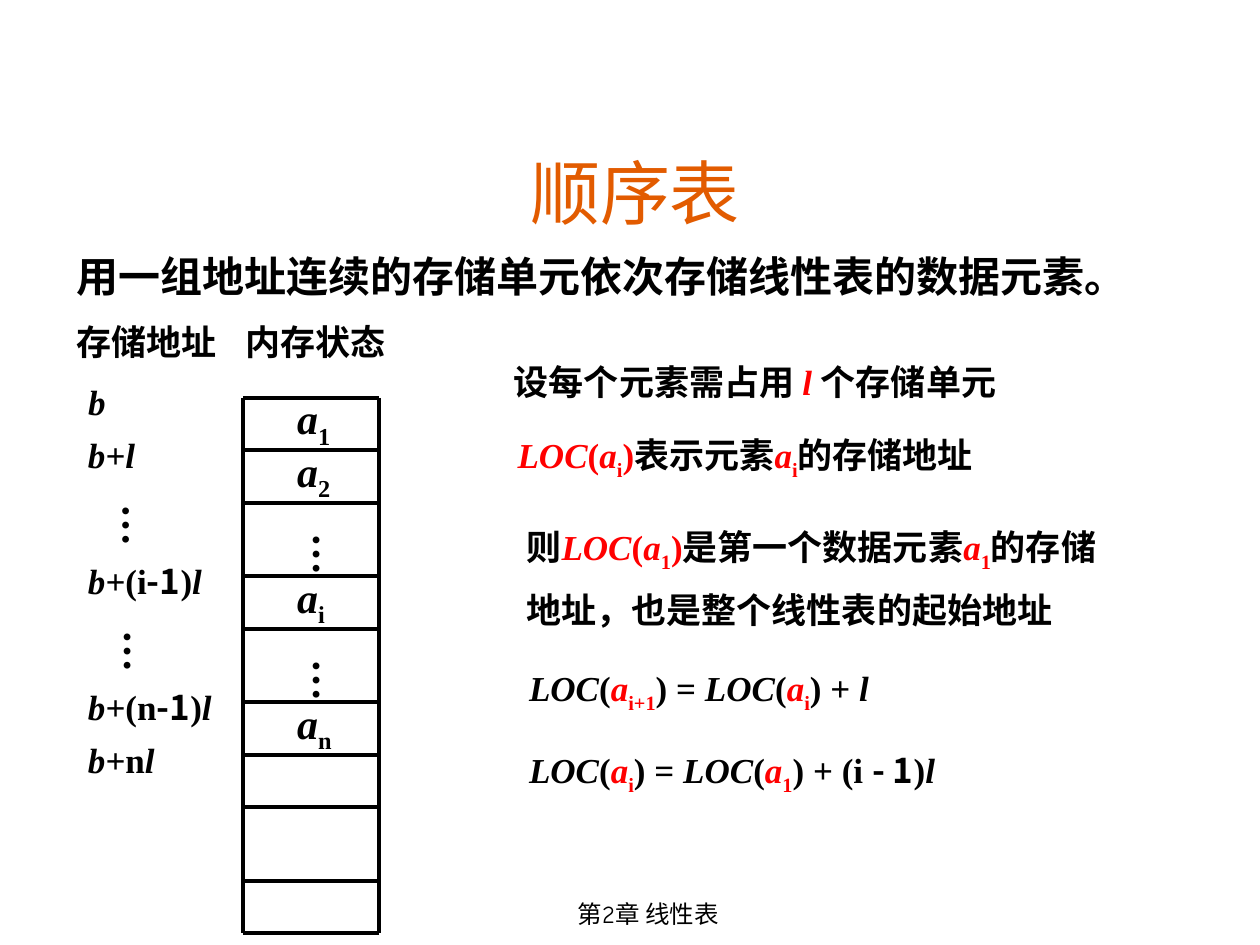
import itertools

import pptx
import pptx.dml.color
import pptx.enum.shapes
import pptx.enum.text
import pptx.oxml.ns
import pptx.util
from lxml import etree

RGBColor = pptx.dml.color.RGBColor
Align = pptx.enum.text.PP_ALIGN
Anchor = pptx.enum.text.MSO_ANCHOR

BLACK = RGBColor(0x00, 0x00, 0x00)
RED = RGBColor(0xFF, 0x00, 0x00)
ORANGE = RGBColor(0xE2, 0x5B, 0x00)
SERIF = "Times New Roman"
SANS = "Noto Sans CJK SC"
COMIC = "Comic Neue"

WIDTH, HEIGHT = pptx.util.Inches(10), pptx.util.Inches(7.5)
COLUMN, ROW = WIDTH / 100, HEIGHT / 90

# Heights of the memory cells in grid rows, from top to bottom
CELL_ROWS = [5, 5, 7, 5, 7, 5, 5, 7, 5]
EDGES = list(itertools.accumulate(CELL_ROWS, initial=0))
DOTS = "…"

# A span is (text, style): i italic, r red, s subscript, n sans serif
CELLS = ["1", "2", DOTS, "i", DOTS, "n"]
ADDRESSES = [
    (5.8, [("b", "i")]),
    (8.3, [("b+l", "i")]),
    (7.6, DOTS),
    (13.3, [("b+", "i"), ("(i", ""), ("-1", "n"), (")", ""), ("l", "i")]),
    (7.7, DOTS),
    (13.3, [("b+", "i"), ("(n", ""), ("-1", "n"), (")", ""), ("l", "i")]),
    (13.3, [("b+", "i"), ("n", ""), ("l", "i")]),
]


def element(index, color="r"):
    return [("a", "i" + color), (index, "s" + color)]


def location(index, color="", element_color="r"):
    return [("LOC", "i" + color), ("(", color), *element(index, element_color)]


# Each statement: left, top, width, height, line spacing, spans
STATEMENTS = [
    (39.8, 33.7, 44.2, 5.3, None,
     [("设每个元素需占用 ", ""), ("l ", "ir"), ("个存储单元", "")]),
    (40.1, 40.7, 48.3, 5.8, None,
     [*location("i", "r"), (")", "r"), ("表示元素", ""), *element("i"),
      ("的存储地址", "")]),
    (40.8, 47.9, 49.2, 12.7, 1.35,
     [("则", ""), *location("1", "r"), (")", "r"), ("是第一个数据元素", ""),
      *element("1"), ("的存储地址，也是整个线性表的起始地址", "")]),
    (41, 62.9, 45.8, 5.8, None,
     [*location("i+1"), (") = ", ""), *location("i"), (") + ", ""), ("l", "i")]),
    (41, 70.7, 45.8, 5.8, None,
     [*location("i"), (") = ", ""), *location("1"), (") + (i ", ""),
      ("- 1", "n"), (")", ""), ("l", "i")]),
]


def add_text(page, area, spans, size, name=SERIF, color=BLACK, bold=True,
             align=Align.LEFT, anchor=Anchor.TOP, spacing=None):
    """Place one paragraph of styled spans in an area given in grid units."""
    left, top, width, height = area
    box = page.shapes.add_textbox(int(left * COLUMN), int(top * ROW),
                                  int(width * COLUMN), int(height * ROW))
    frame = box.text_frame
    frame.word_wrap = True
    frame.vertical_anchor = anchor
    para = frame.paragraphs[0]
    para.alignment = align
    if spacing:
        para.line_spacing = spacing
    para.font.size = pptx.util.Pt(size)
    para.font.bold = bold
    if not any("n" in style for text, style in spans):
        para.font.name = name
    if not any("r" in style for text, style in spans):
        para.font.color.rgb = color
    for text, style in spans:
        span = para.add_run()
        span.text = text
        font = span.font
        font.size = pptx.util.Pt(size)
        font.bold = bold
        font.italic = "i" in style
        font.name = SANS if "n" in style else name
        font.color.rgb = RED if "r" in style else color
        if "s" in style:
            font._element.set("baseline", "-25000")
    return box


def add_dots(page, left, top, height):
    box = add_text(page, (left, top, 6, height), [(DOTS, "")], 24)
    frame = box.text_frame
    frame.margin_left = frame.margin_right = pptx.util.Inches(0.05)
    frame.margin_top = frame.margin_bottom = pptx.util.Inches(0.1)
    frame._txBody.bodyPr.set("vert", "eaVert")


def add_line(page, x1, y1, x2, y2):
    line = page.shapes.add_connector(
        pptx.enum.shapes.MSO_CONNECTOR.STRAIGHT,
        int(x1 * COLUMN), int(y1 * ROW), int(x2 * COLUMN), int(y2 * ROW))
    line.line.color.rgb = BLACK
    line.line.width = pptx.util.Pt(2.25)
    etree.SubElement(line._element.spPr, pptx.oxml.ns.qn("a:effectLst"))


def add_memory(page, left, top, width):
    """Draw the ruled memory column and the elements in its cells."""
    bottom = top + EDGES[-1]
    for x in (left, left + width):
        add_line(page, x, top, x, bottom)
    for edge in EDGES:
        add_line(page, left, top + edge, left + width, top + edge)
    for edge, index in zip(EDGES, CELLS):
        if index == DOTS:
            add_dots(page, left + 3.4, top + edge + 1.7, 6)
        else:
            add_text(page, (left + 3.3, top + edge - 1.1, 9.2, 6.7),
                     element(index, ""), 24)


def add_addresses(page, left, top):
    """Label the memory cells; for dots the first value is their left edge."""
    for edge, (extent, spans) in zip(EDGES, ADDRESSES):
        if spans == DOTS:
            add_dots(page, extent, top + edge - 1, 7)
        else:
            add_text(page, (left, top + edge - 2.2, extent, 5.3), spans, 20)


def add_statements(page):
    for *area, spacing, spans in STATEMENTS:
        add_text(page, area, spans, 20, spacing=spacing)


def add_headings(page):
    add_text(page, (7.5, 12.84, 85.8, 9.96), [("顺序表", "")], 40, COMIC, ORANGE,
             bold=False, align=Align.CENTER, anchor=Anchor.BOTTOM)
    add_text(page, (5.1, 22.3, 88.2, 7),
             [("用一组地址连续的存储单元依次存储线性表的数据元素。", "")], 24, spacing=1.2)
    for left, label in ((5.1, "存储地址"), (18.5, "内存状态")):
        add_text(page, (left, 29.9, 16.7, 5.3), [(label, "")], 20)


def add_footer(page):
    add_text(page, (35.6, 85, 31.7, 5), [("第2章 线性表", "")], 14, COMIC,
             bold=False, align=Align.CENTER)


def main():
    deck = pptx.Presentation()
    deck.slide_width, deck.slide_height = WIDTH, HEIGHT
    page = deck.slides.add_slide(deck.slide_layouts[6])
    add_headings(page)
    add_memory(page, 19.3, 37.9, 10.8)
    add_addresses(page, 6, 37.9)
    add_statements(page)
    add_footer(page)
    deck.save("out.pptx")


if __name__ == "__main__":
    main()
